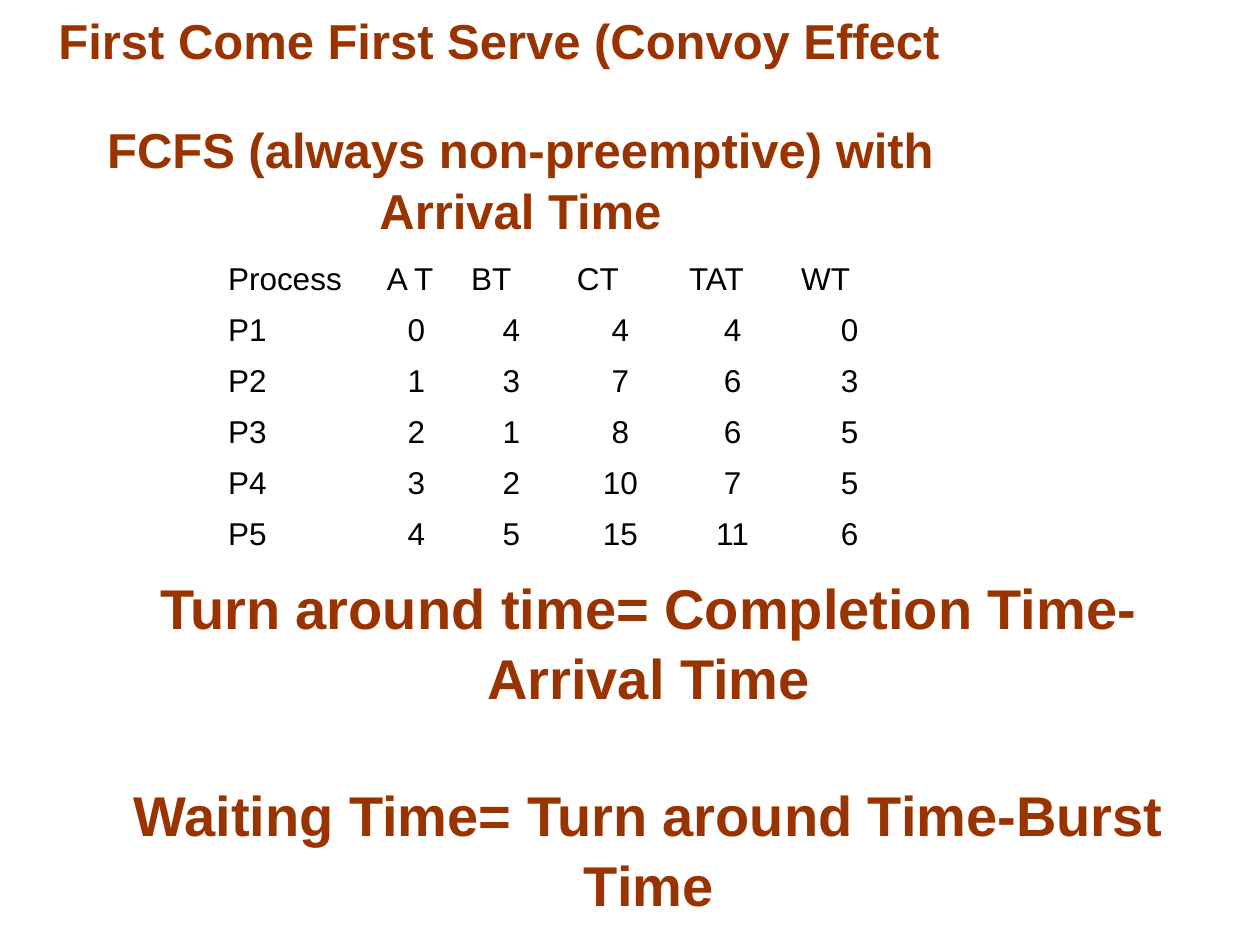
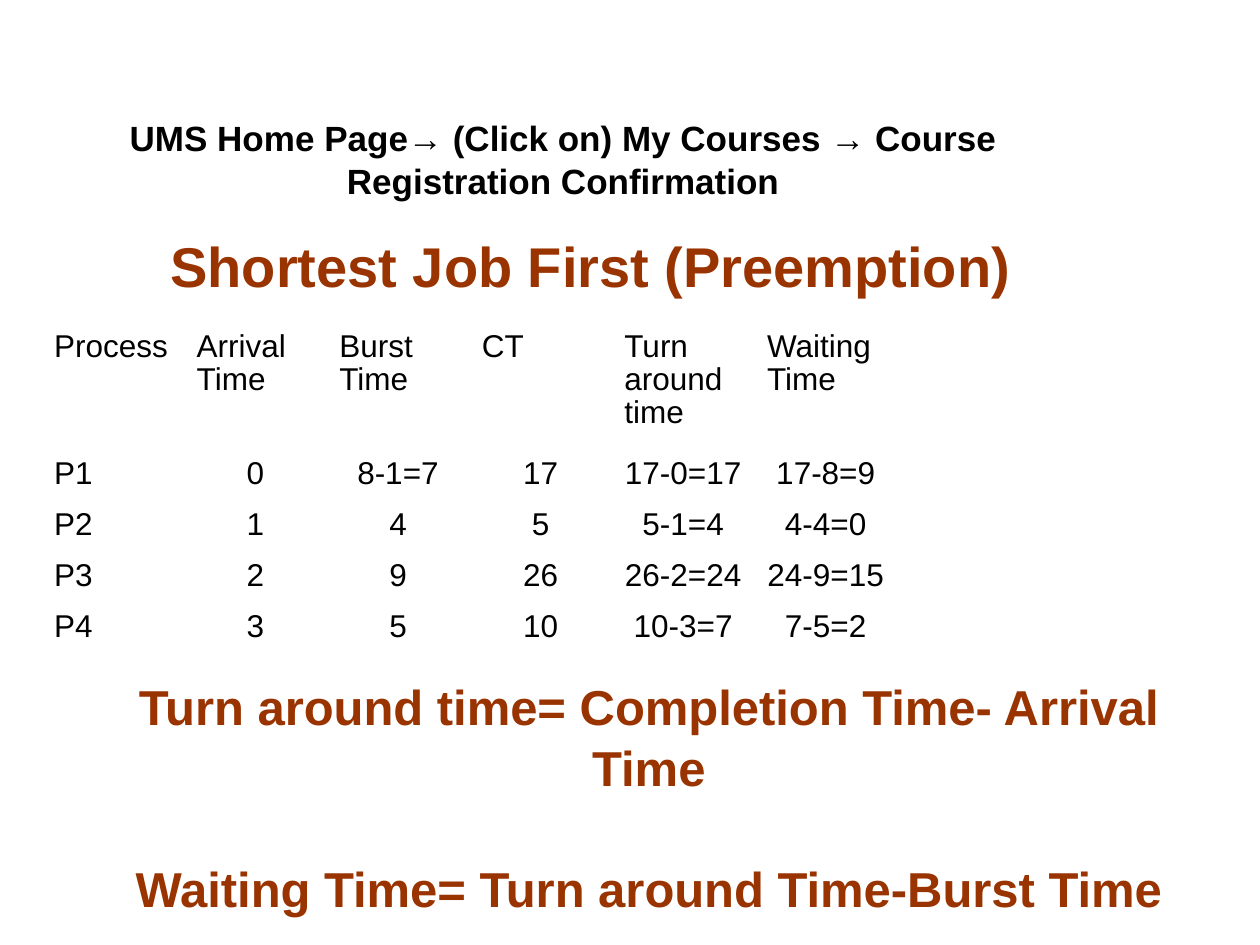
"""Builds two slides on CPU scheduling: first come first serve and shortest job first."""
from pptx import Presentation
from pptx.dml.color import RGBColor
from pptx.enum.text import MSO_ANCHOR, MSO_AUTO_SIZE, PP_ALIGN
from pptx.util import Inches, Pt

CENTER, LEFT = PP_ALIGN.CENTER, PP_ALIGN.LEFT
BOTTOM, NO_FIT = MSO_ANCHOR.BOTTOM, MSO_AUTO_SIZE.NONE
COLORS = {"rust": "993300", "ink": "000000", "page": "FFFFFF"}
FONT = "Arial"
RULES = ["Turn around time= Completion Time- Arrival Time",
         "Waiting Time= Turn around Time-Burst Time"]


def write(shape, box, lines, size, color="rust", pad=(0.1, 0.05)):
    """Place a heading shape and fill it with bold centred lines."""
    shape.left, shape.top, shape.width, shape.height = map(Inches, box)
    frame = shape.text_frame
    frame.word_wrap = True
    frame.auto_size = NO_FIT
    frame.vertical_anchor = BOTTOM
    frame.margin_left = frame.margin_right = Inches(pad[0])
    frame.margin_top = frame.margin_bottom = Inches(pad[1])
    for i, line in enumerate(lines):
        para = frame.paragraphs[0] if i == 0 else frame.add_paragraph()
        para.alignment = CENTER
        para.line_spacing = 1.04
        if i:
            para.space_before = Pt(round(size * 1.2))
        run = para.add_run()
        run.text = line
        run.font.size = Pt(size)
        run.font.name = FONT
        run.font.bold = True
        run.font.color.rgb = RGBColor.from_string(COLORS[color])


def tabulate(slide, spot, cols, heights, rows):
    """Add a plain table with a left-aligned head row and first column."""
    grid = slide.shapes.add_table(len(rows), len(cols), *map(Inches, spot),
                                  Inches(sum(cols)), Inches(sum(heights))).table
    grid.first_row = grid.horz_banding = False
    for col, width in zip(grid.columns, cols):
        col.width = Inches(width)
    for r, row in enumerate(rows):
        grid.rows[r].height = Inches(heights[r])
        for c, text in enumerate(row):
            cell = grid.cell(r, c)
            cell.fill.background()
            para = cell.text_frame.paragraphs[0]
            para.alignment = CENTER if r and c else LEFT
            para.line_spacing = 0.93
            run = para.add_run()
            run.text = text
            run.font.size = Pt(18)
            run.font.name = FONT
            run.font.color.rgb = RGBColor.from_string(COLORS["ink"])


deck = Presentation()
deck.slide_width, deck.slide_height = Inches(10), Inches(7.5)
back = deck.slide_master.background.fill
back.solid()
back.fore_color.rgb = RGBColor.from_string(COLORS["page"])

pages = [
    {"title": ("First Come First Serve (Convoy Effect", (0, 0, 7.92, 0.58), 28),
     "note": ("FCFS (always non-preemptive) with Arrival Time",
              (0.17, 0.92, 7.92, 1.03), 28, "rust"),
     "rules": ((0.9, 4.69, 8.5, 2.64), 32),
     "spot": (1.71, 2.05),
     "cols": [1.26, 0.67, 0.84, 0.89, 0.89, 0.97],
     "heights": [0.405] * 6,
     "rows": [["Process", "A T", "BT", "CT", "TAT", "WT"],
              ["P1", "0", "4", "4", "4", "0"],
              ["P2", "1", "3", "7", "6", "3"],
              ["P3", "2", "1", "8", "6", "5"],
              ["P4", "3", "2", "10", "7", "5"],
              ["P5", "4", "5", "15", "11", "6"]]},
    {"title": ("Shortest Job First (Preemption)", (0.44, 1.69, 8.5, 0.71), 32),
     "note": ("UMS Home Page→ (Click on) My Courses → Course Registration Confirmation",
              (0.22, 0.94, 8.5, 0.71), 20, "ink"),
     "rules": ((0.9, 5.15, 8.5, 2.18), 28),
     "spot": (0.33, 2.58),
     "cols": [6.79 / 6] * 6,
     "heights": [1.01] + [0.405] * 4,
     "rows": [["Process", "Arrival Time", "Burst Time", "CT",
               "Turn around time", "Waiting Time"],
              ["P1", "0", "8-1=7", "17", "17-0=17", "17-8=9"],
              ["P2", "1", "4", "5", "5-1=4", "4-4=0"],
              ["P3", "2", "9", "26", "26-2=24", "24-9=15"],
              ["P4", "3", "5", "10", "10-3=7", "7-5=2"]]},
]

for page in pages:
    slide = deck.slides.add_slide(deck.slide_layouts[5])
    text, box, size = page["title"]
    write(slide.shapes.title, box, [text], size, pad=(0, 0.03))
    tabulate(slide, page["spot"], page["cols"], page["heights"], page["rows"])
    box, size = page["rules"]
    write(slide.shapes.add_textbox(0, 0, 0, 0), box, RULES, size)
    text, box, size, color = page["note"]
    write(slide.shapes.add_textbox(0, 0, 0, 0), box, [text], size, color)

deck.save("out.pptx")
